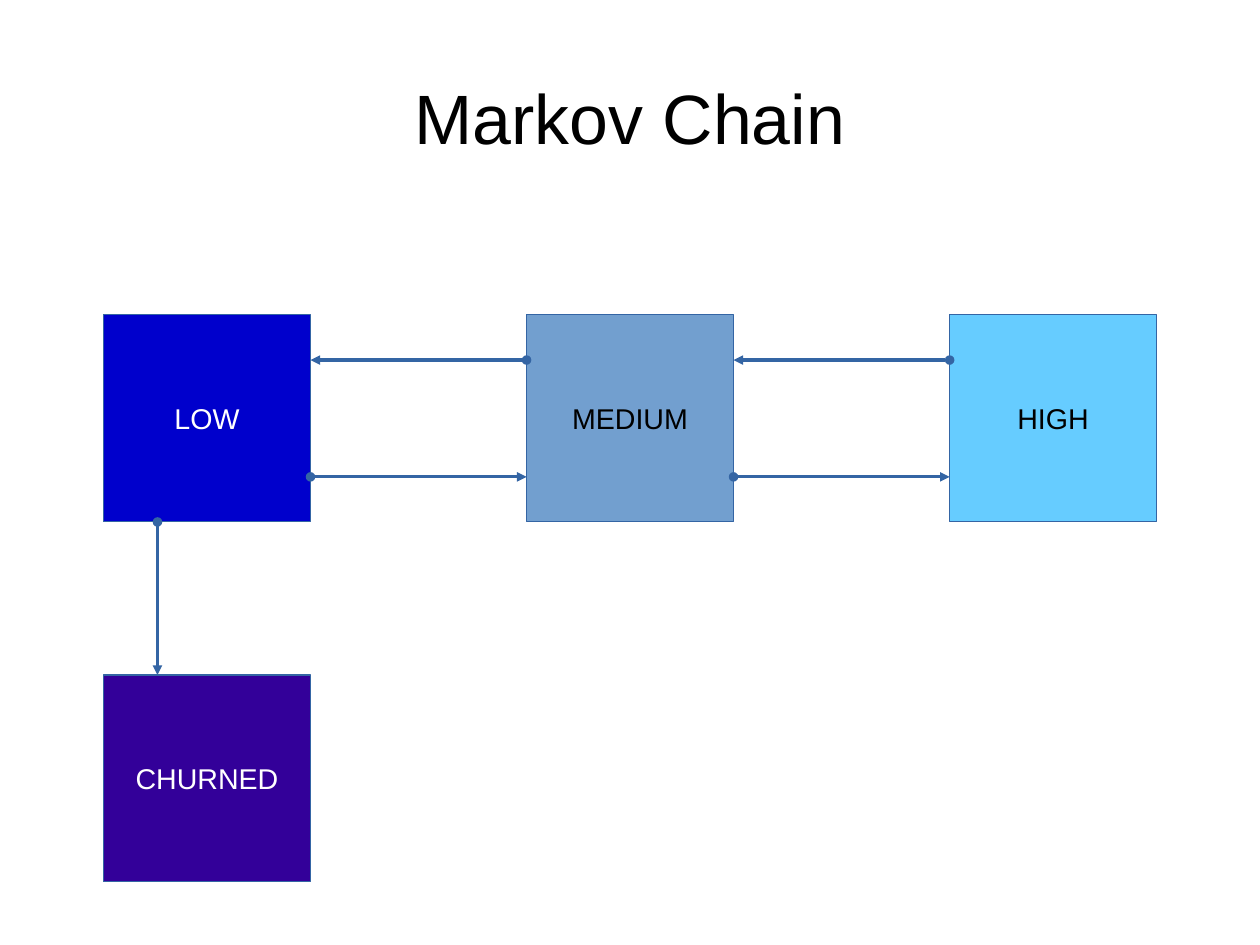
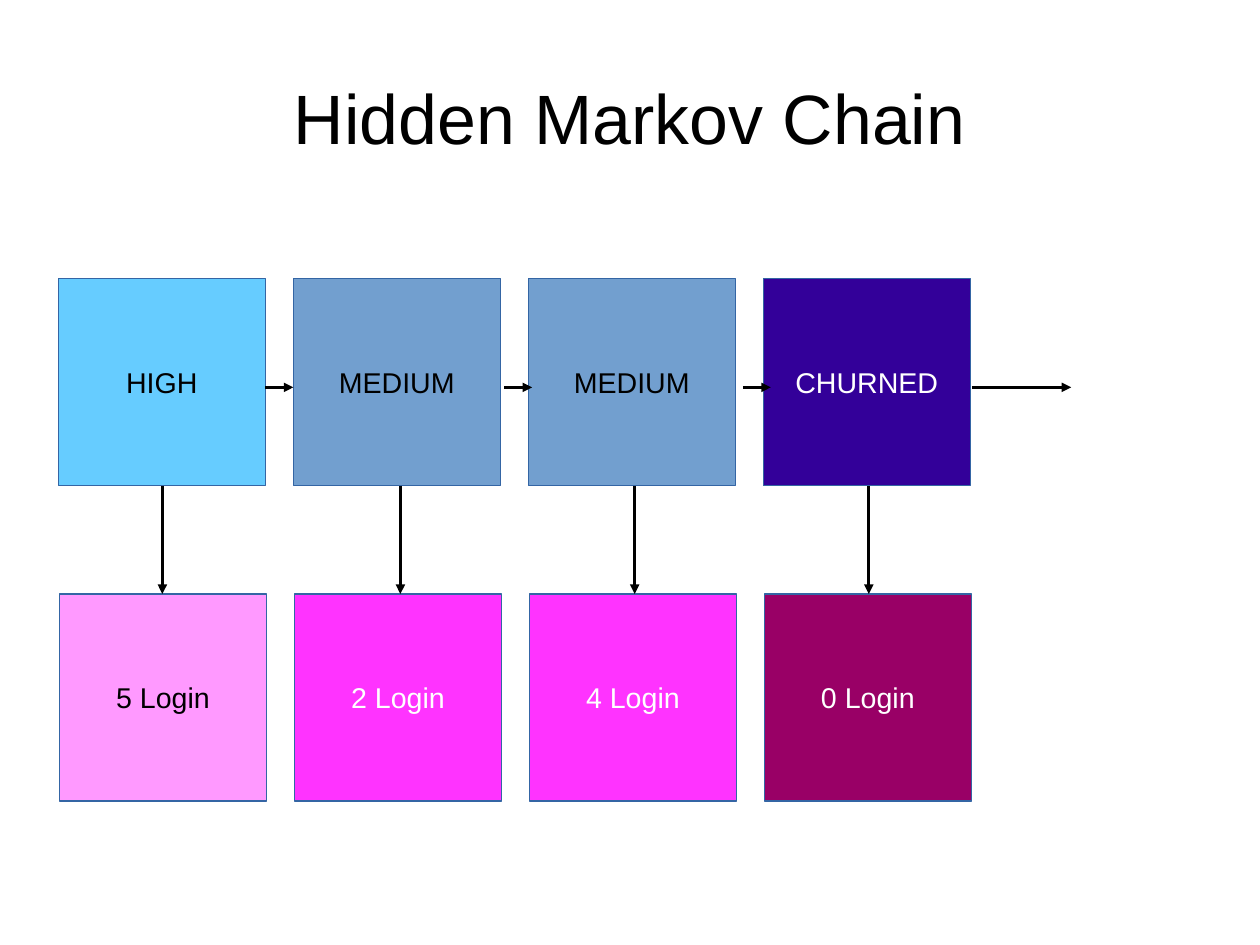
from dataclasses import dataclass

from lxml.etree import SubElement
from pptx import Presentation
from pptx.dml.color import RGBColor
from pptx.enum.shapes import MSO_CONNECTOR as Connector, MSO_SHAPE as Preset
from pptx.enum.text import MSO_ANCHOR as Anchor, PP_ALIGN as Align
from pptx.oxml.ns import qn
from pptx.util import Pt


@dataclass(frozen=True)
class Theme:
    font: str = "Arial"
    title_size: float = 44
    label_size: float = 18
    black: str = "000000"
    white: str = "FFFFFF"
    outline: str = "3465A4"
    hairline: float = 0


THEME = Theme()

# Content: each box style is (fill, text colour)
STYLES = {
    "LOW": ("0000CC", THEME.white),
    "MEDIUM": ("729FCF", THEME.black),
    "HIGH": ("66CCFF", THEME.black),
    "CHURNED": ("330099", THEME.white),
    "5 Login": ("FF99FF", THEME.black),
    "2 Login": ("FF33FF", THEME.white),
    "4 Login": ("FF33FF", THEME.white),
    "0 Login": ("990066", THEME.white),
}
CHAIN_TITLE = "Markov Chain"
CHAIN_STATES = ["LOW", "MEDIUM", "HIGH"]
EXIT_STATE = "CHURNED"
HIDDEN_TITLE = "Hidden Markov Chain"
# Hidden state, observation, shift of the down arrow, shift of the right arrow
HIDDEN_STEPS = [
    ("HIGH", "5 Login", 0.3, 0),
    ("MEDIUM", "2 Login", 2.2, 2.4),
    ("MEDIUM", "4 Login", 1.8, 4.8),
    ("CHURNED", "0 Login", 1.3, 1),
]

# Geometry in points
SLIDE_WIDTH, SLIDE_HEIGHT = 793.7, 595.28
TITLE_FRAME = (39.7, 23.7, 714.3, 99.4)
BOX = 130.4
CHAIN_LEFT, CHAIN_TOP, CHAIN_STEP, EXIT_TOP = 65.2, 198.4, 266.5, 425.2
BACK_Y, FORWARD_Y, EXIT_X = 226.8, 300.4, 99.2
HIDDEN_LEFT, HIDDEN_STEP, STATE_TOP, OBSERVED_TOP = 36.8, 148, 175.6, 374.2
OBSERVED_SHIFT, NEXT_Y, LAST_ARROW = 0.7, 244, 62.6


def rgb(value):
    return RGBColor.from_string(value)


def write(shape, text, size, color):
    frame = shape.text_frame
    frame.vertical_anchor = Anchor.MIDDLE
    paragraph = frame.paragraphs[0]
    paragraph.text = text
    paragraph.alignment = Align.CENTER
    paragraph.font.name = THEME.font
    paragraph.font.size = Pt(size)
    paragraph.font.color.rgb = rgb(color)
    return frame


def add_titled_slide(presentation, title):
    slide = presentation.slides.add_slide(presentation.slide_layouts[6])
    text_box = slide.shapes.add_textbox(*map(Pt, TITLE_FRAME))
    frame = write(text_box, title, THEME.title_size, THEME.black)
    frame.word_wrap = True
    frame.margin_left = frame.margin_right = 0
    frame.margin_top = frame.margin_bottom = 0
    return slide


def add_box(slide, label, left, top):
    fill, color = STYLES[label]
    shape = slide.shapes.add_shape(Preset.RECTANGLE, Pt(left), Pt(top), Pt(BOX), Pt(BOX))
    shape.shadow.inherit = False
    shape.fill.solid()
    shape.fill.fore_color.rgb = rgb(fill)
    shape.line.color.rgb = rgb(THEME.outline)
    shape.line.width = Pt(THEME.hairline)
    write(shape, label, THEME.label_size, color).word_wrap = False


def add_arrow(slide, start, end, color, dot=False):
    arrow = slide.shapes.add_connector(Connector.STRAIGHT, *map(Pt, (*start, *end)))
    arrow.line.color.rgb = rgb(color)
    arrow.line.width = Pt(THEME.hairline)
    line = arrow.line._get_or_add_ln()
    if dot:
        SubElement(line, qn("a:headEnd"), type="oval")
    SubElement(line, qn("a:tailEnd"), type="triangle")
    SubElement(arrow._element.spPr, qn("a:effectLst"))


def build_chain(presentation):
    slide = add_titled_slide(presentation, CHAIN_TITLE)
    lefts = [CHAIN_LEFT + i * CHAIN_STEP for i in range(len(CHAIN_STATES))]
    for label, left in zip(CHAIN_STATES, lefts):
        add_box(slide, label, left, CHAIN_TOP)
    add_box(slide, EXIT_STATE, CHAIN_LEFT, EXIT_TOP)

    # Transitions both ways between neighbours, then the way out
    for left, next_left in zip(lefts, lefts[1:]):
        right = left + BOX
        add_arrow(slide, (right, FORWARD_Y), (next_left, FORWARD_Y), THEME.outline, dot=True)
        add_arrow(slide, (next_left, BACK_Y), (right, BACK_Y), THEME.outline, dot=True)
    add_arrow(slide, (EXIT_X, CHAIN_TOP + BOX), (EXIT_X, EXIT_TOP), THEME.outline, dot=True)


def build_hidden_chain(presentation):
    slide = add_titled_slide(presentation, HIDDEN_TITLE)
    lefts = [HIDDEN_LEFT + i * HIDDEN_STEP for i in range(len(HIDDEN_STEPS))]
    for left, (state, observed, _, _) in zip(lefts, HIDDEN_STEPS):
        add_box(slide, state, left, STATE_TOP)
        add_box(slide, observed, left + OBSERVED_SHIFT, OBSERVED_TOP)

    # Arrows to the observation and to the next state
    for left, (_, _, down_shift, next_shift) in zip(lefts, HIDDEN_STEPS):
        x = left + BOX / 2 + down_shift
        add_arrow(slide, (x, STATE_TOP + BOX), (x, OBSERVED_TOP), THEME.black)
        start = left + BOX + next_shift
        length = LAST_ARROW if left == lefts[-1] else HIDDEN_STEP - BOX
        add_arrow(slide, (start, NEXT_Y), (start + length, NEXT_Y), THEME.black)


def main():
    presentation = Presentation()
    presentation.slide_width = Pt(SLIDE_WIDTH)
    presentation.slide_height = Pt(SLIDE_HEIGHT)
    build_chain(presentation)
    build_hidden_chain(presentation)
    presentation.save("out.pptx")


if __name__ == "__main__":
    main()
